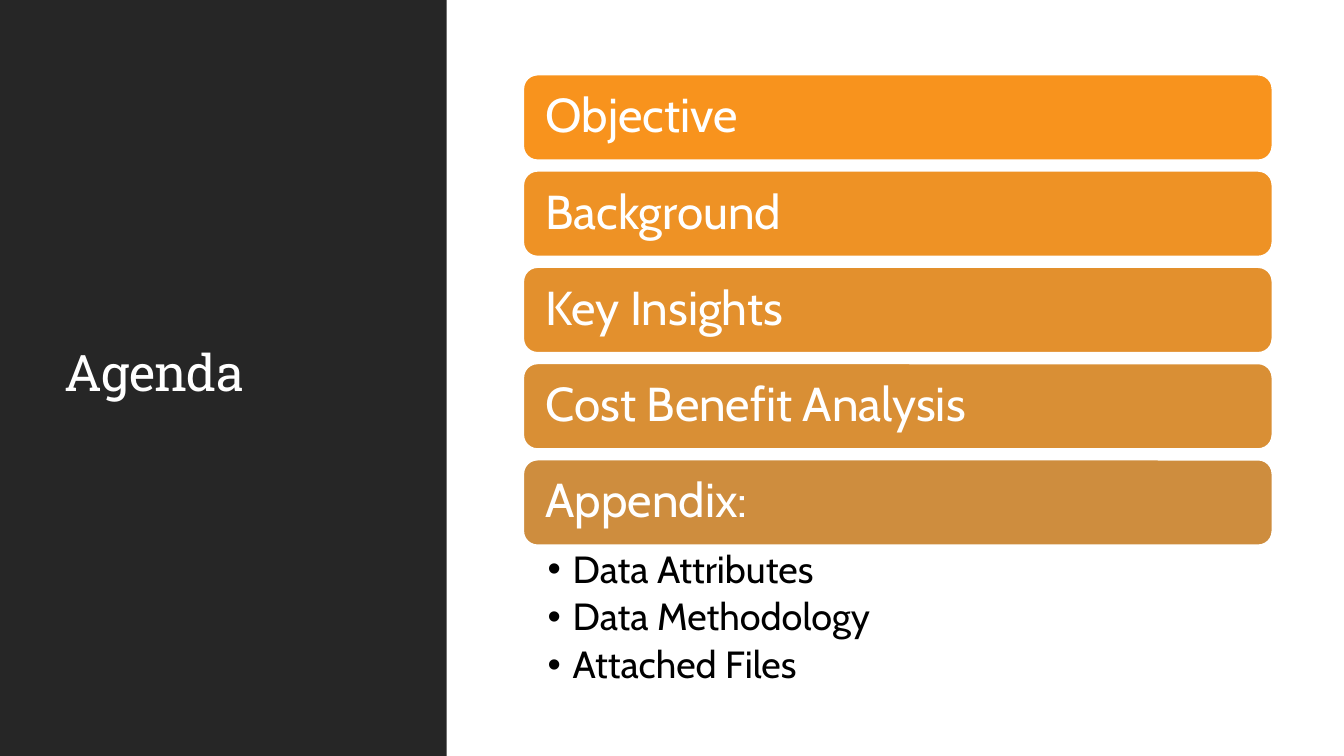
from dataclasses import dataclass

from lxml.etree import SubElement
from pptx import Presentation
from pptx.dml.color import RGBColor
from pptx.enum.shapes import MSO_SHAPE as Shape
from pptx.enum.text import MSO_ANCHOR as Anchor, MSO_AUTO_SIZE as AutoSize, PP_ALIGN as Align
from pptx.oxml.ns import qn
from pptx.util import Inches, Pt


@dataclass(frozen=True)
class Theme:
    dark: str = "262626"
    white: str = "FFFFFF"
    black: str = "000000"
    bars: tuple = ("F8931D", "EE9225", "E3902D", "D98F35", "CE8D3E")
    heading_font: str = "Roboto Slab"
    body_font: str = "Cabin"
    title_size: float = 36
    topic_size: float = 34
    detail_size: float = 27


theme = Theme()


def set_frame(frame, anchor, left, top, right, bottom):
    frame.word_wrap = True
    frame.auto_size = AutoSize.NONE
    frame.vertical_anchor = anchor
    frame.margin_left, frame.margin_top = Inches(left), Inches(top)
    frame.margin_right, frame.margin_bottom = Inches(right), Inches(bottom)


def add_text(paragraph, text, font, size, color):
    paragraph.alignment = Align.LEFT
    paragraph.line_spacing = 0.9
    paragraph.space_before = Pt(0)
    run = paragraph.add_run()
    run.text = text
    run.font.name = font
    run.font.size = Pt(size)
    run.font.color.rgb = RGBColor.from_string(color)
    return run


# Slide
prs = Presentation()
prs.slide_width, prs.slide_height = Inches(13.33), Inches(7.5)
slide = prs.slides.add_slide(prs.slide_layouts[1])
heading, details = slide.placeholders

# Dark side panel, behind the heading
panel = slide.shapes.add_shape(Shape.RECTANGLE, 0, 0, Inches(4.43), prs.slide_height)
panel.shadow.inherit = False
panel.fill.solid()
panel.fill.fore_color.rgb = RGBColor.from_string(theme.dark)
panel.line.fill.background()
heading.element.addprevious(panel.element)

# Heading
heading.left, heading.top = Inches(0.54), Inches(0.57)
heading.width, heading.height = Inches(3.37), Inches(6.31)
set_frame(heading.text_frame, Anchor.MIDDLE, 0.1, 0.05, 0.1, 0.05)
agenda = add_text(heading.text_frame.paragraphs[0], "Agenda",
                  theme.heading_font, theme.title_size, theme.white)
agenda.font._element.set("spc", "-50")

# Agenda topics
topics = ["Objective", "Background", "Key Insights", "Cost Benefit Analysis", "Appendix:"]
bar_left, bar_top, bar_width, bar_height, bar_pitch = 5.19, 0.74, 7.43, 0.85, 0.955
for row, (topic, color) in enumerate(zip(topics, theme.bars)):
    bar = slide.shapes.add_shape(
        Shape.ROUNDED_RECTANGLE, Inches(bar_left), Inches(bar_top + row * bar_pitch),
        Inches(bar_width), Inches(bar_height))
    bar.shadow.inherit = False
    bar.fill.solid()
    bar.fill.fore_color.rgb = RGBColor.from_string(color)
    bar.line.color.rgb = RGBColor.from_string(theme.white)
    bar.line.width = Pt(1.25)
    set_frame(bar.text_frame, Anchor.MIDDLE, 0.18, 0.14, 0.18, 0.14)
    add_text(bar.text_frame.paragraphs[0], topic,
             theme.body_font, theme.topic_size, theme.white)

# Appendix details
details.left, details.top = Inches(bar_left), Inches(5.41)
details.width, details.height = Inches(bar_width), Inches(1.42)
set_frame(details.text_frame, Anchor.TOP, 0.24, 0.05, 0.26, 0.05)
for row, detail in enumerate(["Data Attributes", "Data Methodology", "Attached Files"]):
    frame = details.text_frame
    item = frame.add_paragraph() if row else frame.paragraphs[0]
    item.level = 1
    add_text(item, detail, theme.body_font, theme.detail_size, theme.black)
    item.space_after = Pt(5)
    properties = item._p.get_or_add_pPr()
    properties.set("marL", str(Inches(0.25)))
    properties.set("indent", str(Inches(-0.25)))
    SubElement(properties, qn("a:buChar")).set("char", "•")

prs.save("out.pptx")
